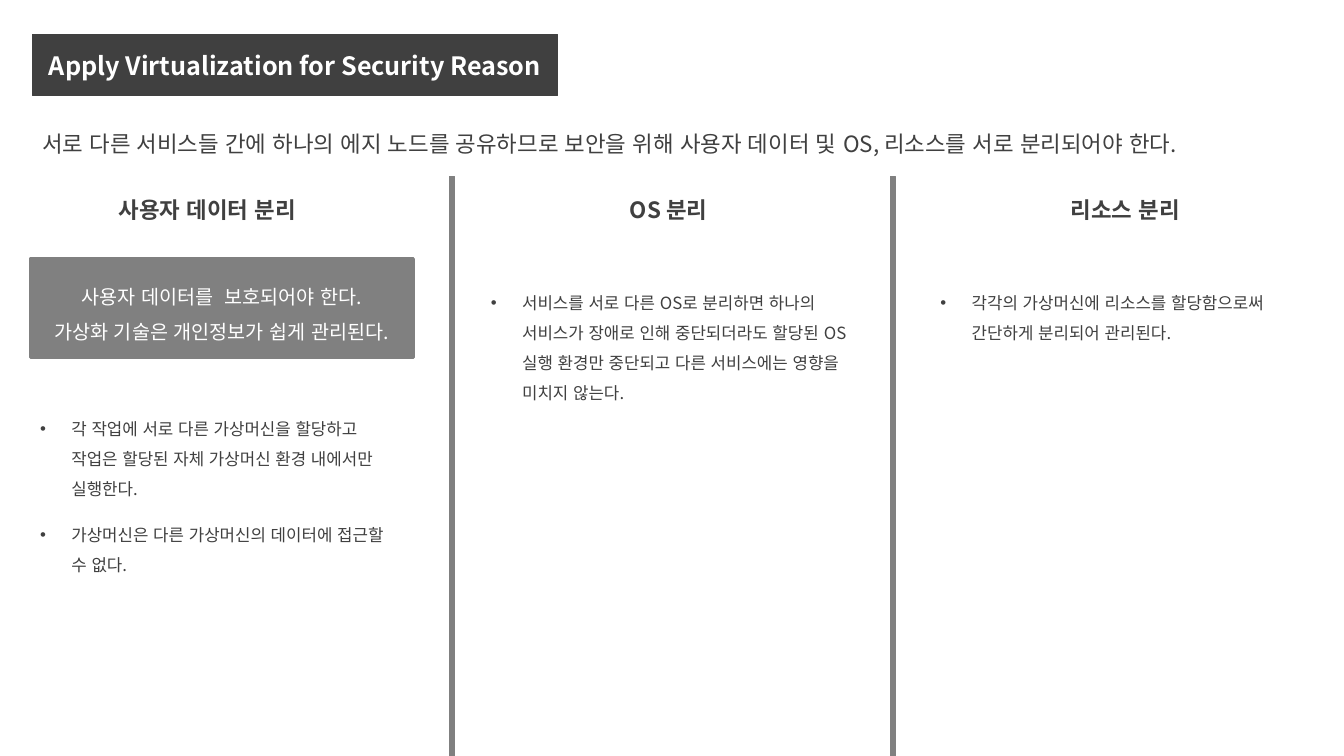
from lxml.etree import SubElement
from pptx import Presentation
from pptx.dml.color import RGBColor
from pptx.enum.lang import MSO_LANGUAGE_ID
from pptx.enum.shapes import MSO_SHAPE
from pptx.enum.text import MSO_ANCHOR, MSO_AUTO_SIZE, PP_ALIGN
from pptx.oxml.ns import qn
from pptx.util import Inches, Pt

FONT = "Noto Sans CJK KR"
COLORS = {"dark": "404040", "gray": "808080", "white": "FFFFFF"}
COLUMN_WIDTH = 3.8
HEADING_TOP = 1.9
DIVIDER_TOP = 1.75
SLIDE_HEIGHT = 7.5

COLUMNS = [
    {
        "left": 0.3,
        "heading": ("사용자 데이터 분리", 1.08, 2.23),
        "callout": ["사용자 데이터를  보호되어야 한다.", "가상화 기술은 개인정보가 쉽게 관리된다."],
        "bullets": [
            "각 작업에 서로 다른 가상머신을 할당하고 작업은 할당된 자체 가상머신 환경 내에서만 실행한다.",
            "가상머신은 다른 가상머신의 데이터에 접근할 수 없다.",
        ],
        "bullets_top": 3.75,
        "bullets_height": 2.26,
    },
    {
        "left": 4.77,
        "heading": ("OS 분리", 6.15, 1.03),
        "bullets": [
            "서비스를 서로 다른 OS로 분리하면 하나의 서비스가 장애로 인해 중단되더라도 "
            "할당된 OS 실행 환경만 중단되고 다른 서비스에는 영향을 미치지 않는다.",
        ],
        "bullets_top": 2.27,
        "bullets_height": 2.26,
    },
    {
        "left": 9.23,
        "heading": ("리소스 분리", 10.52, 1.4),
        "bullets": ["각각의 가상머신에 리소스를 할당함으로써 간단하게 분리되어 관리된다."],
        "bullets_top": 2.27,
        "bullets_height": 1.66,
    },
]


def color(name):
    return RGBColor.from_string(COLORS[name])


def write_text(shape, lines, size, color_name, bold=False, align=PP_ALIGN.LEFT, spacing=None):
    text_frame = shape.text_frame
    text_frame.text = "\n".join(lines)
    for paragraph in text_frame.paragraphs:
        paragraph.alignment = align
        paragraph.line_spacing = spacing
        for run in paragraph.runs:
            font = run.font
            font.name = FONT
            font.size = Pt(size)
            font.bold = bold
            font.color.rgb = color(color_name)
            font.language_id = MSO_LANGUAGE_ID.KOREAN
            SubElement(run._r.get_or_add_rPr(), qn("a:ea"), typeface=FONT)


def add_box(slide, left, top, width, height, fill, line_width=1):
    shape = slide.shapes.add_shape(
        MSO_SHAPE.RECTANGLE, Inches(left), Inches(top), Inches(width), Inches(height)
    )
    shape.shadow.inherit = False
    shape.fill.solid()
    shape.fill.fore_color.rgb = color(fill)
    shape.line.color.rgb = color(fill)
    shape.line.width = Pt(line_width)
    shape.text_frame.word_wrap = True
    shape.text_frame.vertical_anchor = MSO_ANCHOR.MIDDLE
    return shape


def add_label(slide, left, top, width, text, bold=False):
    label = slide.shapes.add_textbox(Inches(left), Inches(top), Inches(width), Inches(0.37))
    label.text_frame.word_wrap = False
    label.text_frame.auto_size = MSO_AUTO_SIZE.SHAPE_TO_FIT_TEXT
    write_text(label, [text], 16, "dark", bold)


def add_bullets(slide, left, top, width, height, items):
    box = add_box(slide, left, top, width, height, "white", 2.25)
    write_text(box, items, 12, "dark", spacing=1.5)
    paragraphs = box.text_frame.paragraphs
    for paragraph in paragraphs:
        if paragraph is not paragraphs[-1]:
            paragraph.space_after = Pt(11)
        properties = paragraph._p.get_or_add_pPr()
        properties.set("marL", str(Inches(0.31)))
        properties.set("indent", str(Inches(-0.31)))
        SubElement(properties, qn("a:buFont"), typeface="Arial")
        SubElement(properties, qn("a:buChar"), char="•")


def add_header(slide, left, top, width):
    title = add_box(slide, left, top, 5.21, 0.61, "dark")
    write_text(
        title, ["Apply Virtualization for Security Reason"], 18, "white", True, PP_ALIGN.CENTER
    )
    add_label(
        slide, left, top + 0.9, width,
        "서로 다른 서비스들 간에 하나의 에지 노드를 공유하므로 보안을 위해 "
        "사용자 데이터 및 OS, 리소스를 서로 분리되어야 한다.",
    )


def add_column(slide, column):
    heading, heading_left, heading_width = column["heading"]
    left = column["left"]
    add_bullets(
        slide, left, column["bullets_top"], COLUMN_WIDTH,
        column["bullets_height"], column["bullets"],
    )
    add_label(slide, heading_left, HEADING_TOP, heading_width, heading, True)
    if "callout" in column:
        callout = add_box(slide, left, 2.57, COLUMN_WIDTH, 0.98, "gray", 2.25)
        write_text(callout, column["callout"], 14, "white", align=PP_ALIGN.CENTER, spacing=1.5)


presentation = Presentation()
presentation.slide_width = Inches(13.33)
presentation.slide_height = Inches(SLIDE_HEIGHT)
slide = presentation.slides.add_slide(presentation.slide_layouts[6])

add_header(slide, 0.32, 0.34, 12.63)
for divider_left in (4.46, 8.83):
    add_box(slide, divider_left, DIVIDER_TOP, 0.05, SLIDE_HEIGHT - DIVIDER_TOP, "gray")
for column in COLUMNS:
    add_column(slide, column)

presentation.save("out.pptx")
